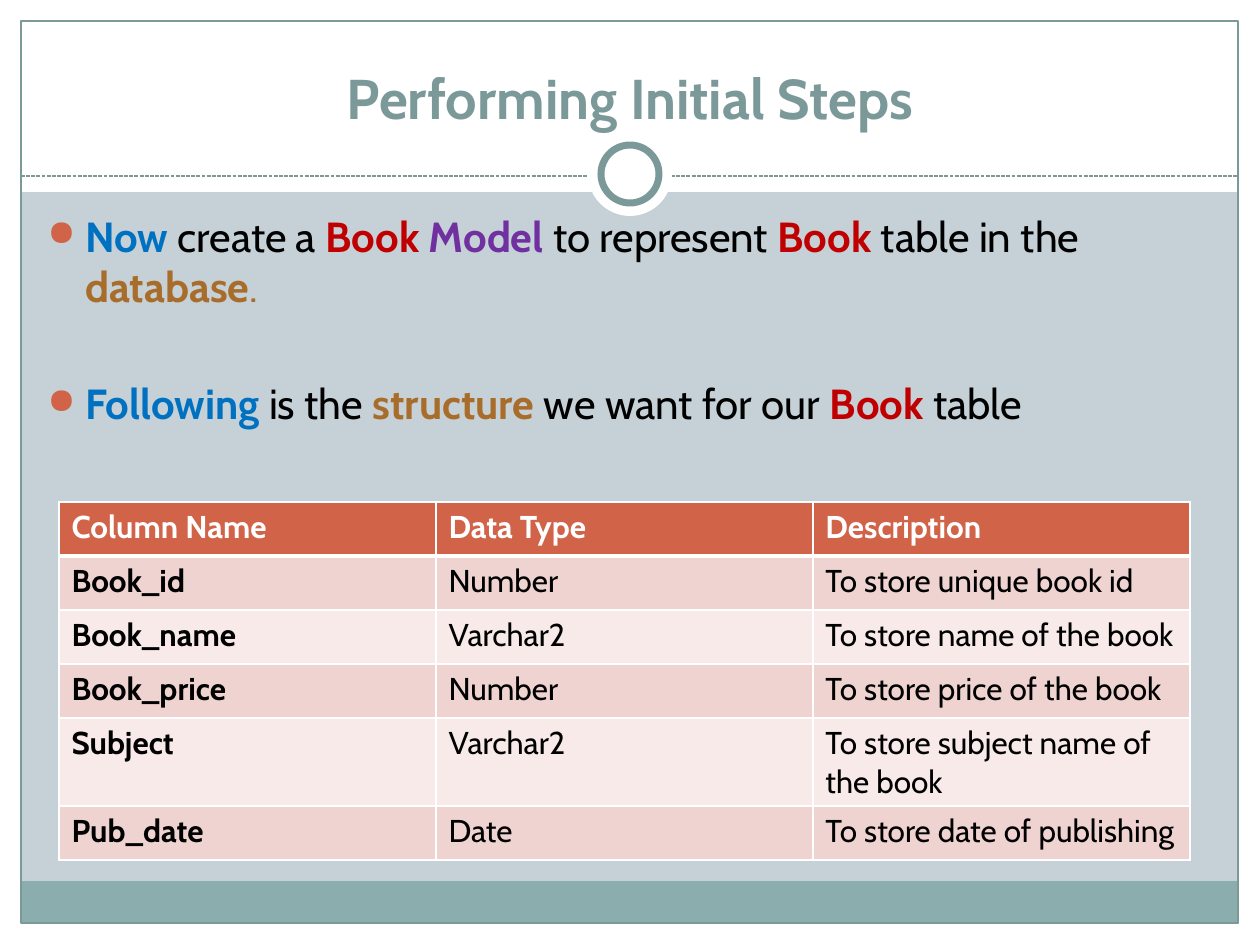
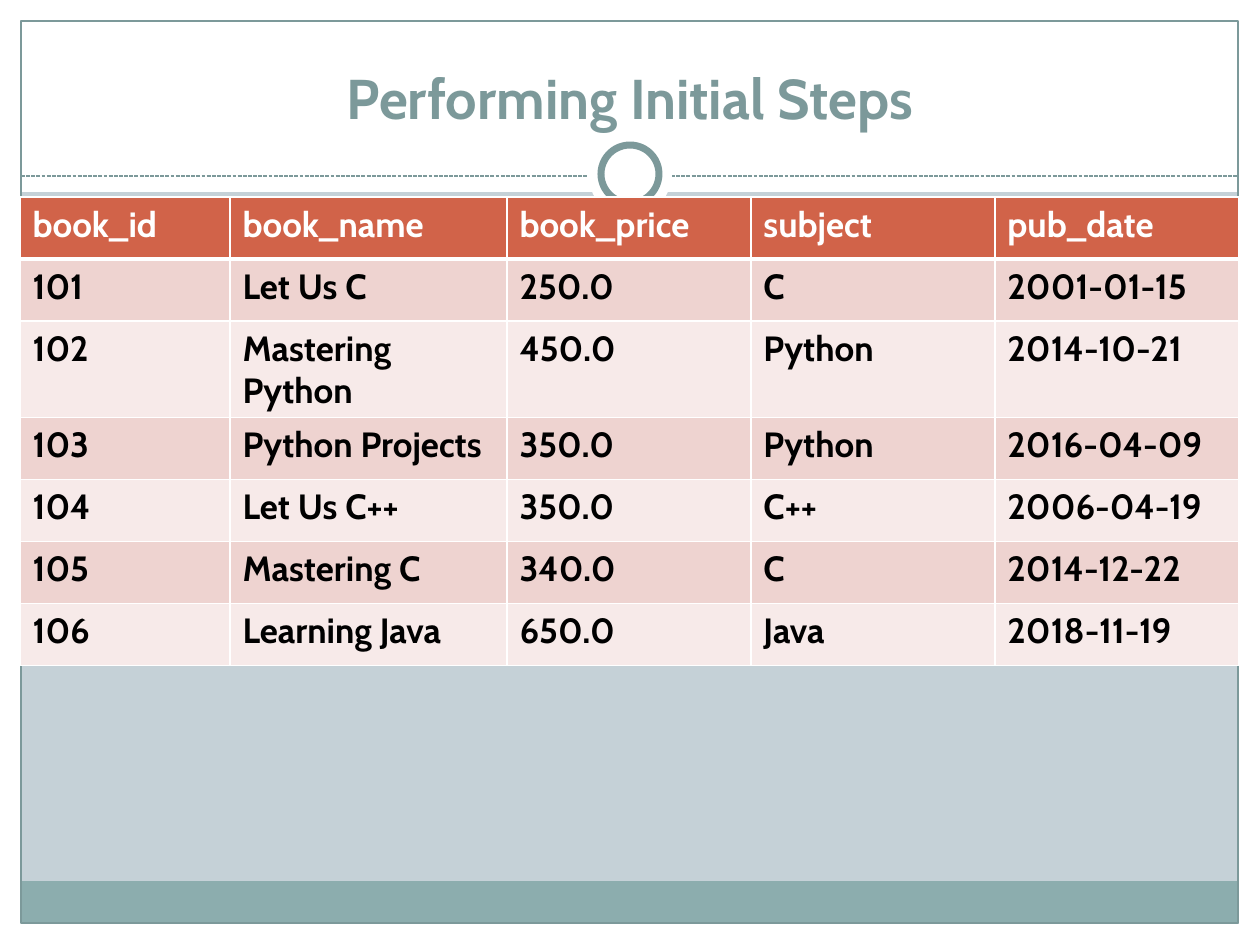
"""Build two slides on the structure and contents of a Book table."""
import dataclasses
import typing

import lxml.etree
import pptx
import pptx.dml.color
import pptx.enum.dml
import pptx.enum.shapes
import pptx.enum.text
import pptx.oxml.ns
import pptx.util

SCALE = 914400 / 126
WIDTH, HEIGHT = 1260, 945
FONT = "Cabin"
WHITE, BLACK = "FFFFFF", "000000"
BACKGROUND, BAND, TEAL = "C5D1D7", "8CADAE", "7C999A"
ORANGE, PINK, PALE = "D16349", "EED3D0", "F7EAE9"
BLUE, RED, PURPLE, BROWN = "0070C0", "C00000", "7030A0", "A96D2B"

RECT = pptx.enum.shapes.MSO_SHAPE.RECTANGLE
OVAL = pptx.enum.shapes.MSO_SHAPE.OVAL


@dataclasses.dataclass(frozen=True)
class Panel:
    left: int
    top: int
    width: int
    height: int
    fill: str | None = WHITE
    line: str | None = None
    weight: float = 0.75
    kind: typing.Any = RECT


class Span(typing.NamedTuple):
    text: str
    color: str = BLACK
    bold: bool = False


@dataclasses.dataclass(frozen=True)
class Grid:
    left: int
    top: int
    cols: list[int]
    heights: list[int]
    size: int
    bold_cols: int
    rows: list[list[str]]


FRAME = [
    Panel(0, 924, WIDTH, 21),
    Panel(0, 0, WIDTH, 192),
    Panel(0, 0, 21, HEIGHT),
    Panel(1239, 0, 21, HEIGHT),
    Panel(21, 881, 1217, 43, BAND),
    Panel(21, 21, 1217, 902, None, TEAL),
]
RING = [
    Panel(588, 132, 84, 84, kind=OVAL),
    Panel(601, 145, 58, 58, WHITE, TEAL, 4, OVAL),
]

BULLETS = [
    [
        Span("Now", BLUE, True), Span(" create a "), Span("Book ", RED, True),
        Span("Model ", PURPLE, True), Span("to represent "), Span("Book", RED, True),
        Span(" table in the "), Span("database", BROWN, True), Span(".", BROWN),
    ],
    [
        Span("Following", BLUE, True), Span(" is the "), Span("structure", BROWN, True),
        Span(" we want for our "), Span("Book", RED, True), Span(" table"),
    ],
]

STRUCTURE = Grid(59, 502, [377] * 3, [54, 54, 54, 54, 76, 54], 18, 1, [
    ["Column Name", "Data Type", "Description"],
    ["Book_id", "Number", "To store unique book id"],
    ["Book_name", "Varchar2", "To store name of the book"],
    ["Book_price", "Number", "To store price of the book"],
    ["Subject", "Varchar2", "To store subject name of the book"],
    ["Pub_date", "Date", "To store date of publishing"],
])
BOOKS = Grid(20, 197, [210, 277, 244, 244, 244], [62] * 7, 20, 5, [
    ["book_id", "book_name", "book_price", "subject", "pub_date"],
    ["101", "Let Us C", "250.0", "C", "2001-01-15"],
    ["102", "Mastering Python", "450.0", "Python", "2014-10-21"],
    ["103", "Python Projects", "350.0", "Python", "2016-04-09"],
    ["104", "Let Us C++", "350.0", "C++", "2006-04-19"],
    ["105", "Mastering C", "340.0", "C", "2014-12-22"],
    ["106", "Learning Java", "650.0", "Java", "2018-11-19"],
])


def px(*lengths: int) -> list[pptx.util.Emu]:
    return [pptx.util.Emu(round(n * SCALE)) for n in lengths]


def paint(color: typing.Any, value: str) -> None:
    color.rgb = pptx.dml.color.RGBColor.from_string(value)


def fill_with(fill: typing.Any, value: str) -> None:
    fill.solid()
    paint(fill.fore_color, value)


def add_xml(parent: typing.Any, tag: str, **attrs: str) -> typing.Any:
    return lxml.etree.SubElement(parent, pptx.oxml.ns.qn(tag), attrs)


def set_font(font: typing.Any, size: int) -> None:
    font.name = FONT
    font.size = pptx.util.Pt(size)


def draw_panel(s: typing.Any, panel: Panel) -> None:
    sp = s.shapes.add_shape(
        panel.kind, *px(panel.left, panel.top, panel.width, panel.height))
    sp.shadow.inherit = False
    if panel.fill:
        fill_with(sp.fill, panel.fill)
    else:
        sp.fill.background()
    if panel.line:
        paint(sp.line.color, panel.line)
        sp.line.width = pptx.util.Pt(panel.weight)
    else:
        sp.line.fill.background()


def draw_rule(s: typing.Any) -> None:
    line = s.shapes.add_connector(
        pptx.enum.shapes.MSO_CONNECTOR.STRAIGHT, *px(21, 176, 1239, 176))
    paint(line.line.color, TEAL)
    line.line.width = pptx.util.Pt(0.75)
    line.line.dash_style = pptx.enum.dml.MSO_LINE.SQUARE_DOT
    add_xml(line._element.spPr, "a:effectLst")


def add_text(s: typing.Any, left: int, top: int, width: int, height: int) -> typing.Any:
    tf = s.shapes.add_textbox(*px(left, top, width, height)).text_frame
    tf.word_wrap = True
    return tf


def new_slide(prs: typing.Any, title: str) -> typing.Any:
    s = prs.slides.add_slide(prs.slide_layouts[6])
    fill_with(s.background.fill, BACKGROUND)
    for panel in FRAME:
        draw_panel(s, panel)
    draw_rule(s)
    for panel in RING:
        draw_panel(s, panel)
    tf = add_text(s, 42, 32, 1176, 105)
    tf.vertical_anchor = pptx.enum.text.MSO_ANCHOR.BOTTOM
    p = tf.paragraphs[0]
    p.text = title
    p.alignment = pptx.enum.text.PP_ALIGN.CENTER
    set_font(p.font, 32)
    p.font.bold = True
    paint(p.font.color, TEAL)
    return s


def draw_bullets(s: typing.Any, bullets: list[list[Span]]) -> None:
    tf = add_text(s, 35, 204, 1201, 270)
    indent = px(38)[0]
    for i, spans in enumerate(bullets):
        p = tf.add_paragraph() if i else tf.paragraphs[0]
        pPr = p._p.get_or_add_pPr()
        pPr.set("marL", str(indent))
        pPr.set("indent", str(-indent))
        add_xml(add_xml(pPr, "a:buClr"), "a:srgbClr", val=ORANGE)
        add_xml(pPr, "a:buSzPct", val="85000")
        add_xml(pPr, "a:buChar", char="●")
        if i:
            p.space_before = pptx.util.Pt(38)
        set_font(p.font, 24)
        for span in spans:
            r = p.add_run()
            r.text = span.text
            r.font.bold = span.bold
            paint(r.font.color, span.color)


def set_borders(cell: typing.Any, row: int) -> None:
    tcPr = cell._tc.get_or_add_tcPr()
    weights = {"L": 1, "R": 1, "T": 3 if row == 1 else 1, "B": 3 if row == 0 else 1}
    for side, weight in weights.items():
        ln = add_xml(tcPr, f"a:ln{side}", w=str(pptx.util.Pt(weight)))
        add_xml(add_xml(ln, "a:solidFill"), "a:srgbClr", val=WHITE)


def draw_grid(s: typing.Any, grid: Grid) -> None:
    table = s.shapes.add_table(
        len(grid.rows), len(grid.cols),
        *px(grid.left, grid.top, sum(grid.cols), sum(grid.heights))).table
    for col, width in zip(table.columns, px(*grid.cols)):
        col.width = width
    for row, height in zip(table.rows, px(*grid.heights)):
        row.height = height
    for i, texts in enumerate(grid.rows):
        for j, text in enumerate(texts):
            cell = table.cell(i, j)
            set_borders(cell, i)
            fill_with(cell.fill, ORANGE if i == 0 else PINK if i % 2 else PALE)
            p = cell.text_frame.paragraphs[0]
            p.text = text
            set_font(p.font, grid.size)
            p.font.bold = i == 0 or j < grid.bold_cols
            paint(p.font.color, BLACK if i else WHITE)


def main() -> None:
    prs = pptx.Presentation()
    prs.slide_width, prs.slide_height = px(WIDTH, HEIGHT)
    title = "Performing Initial Steps"
    s = new_slide(prs, title)
    draw_bullets(s, BULLETS)
    draw_grid(s, STRUCTURE)
    draw_grid(new_slide(prs, title), BOOKS)
    prs.save("out.pptx")


if __name__ == "__main__":
    main()
